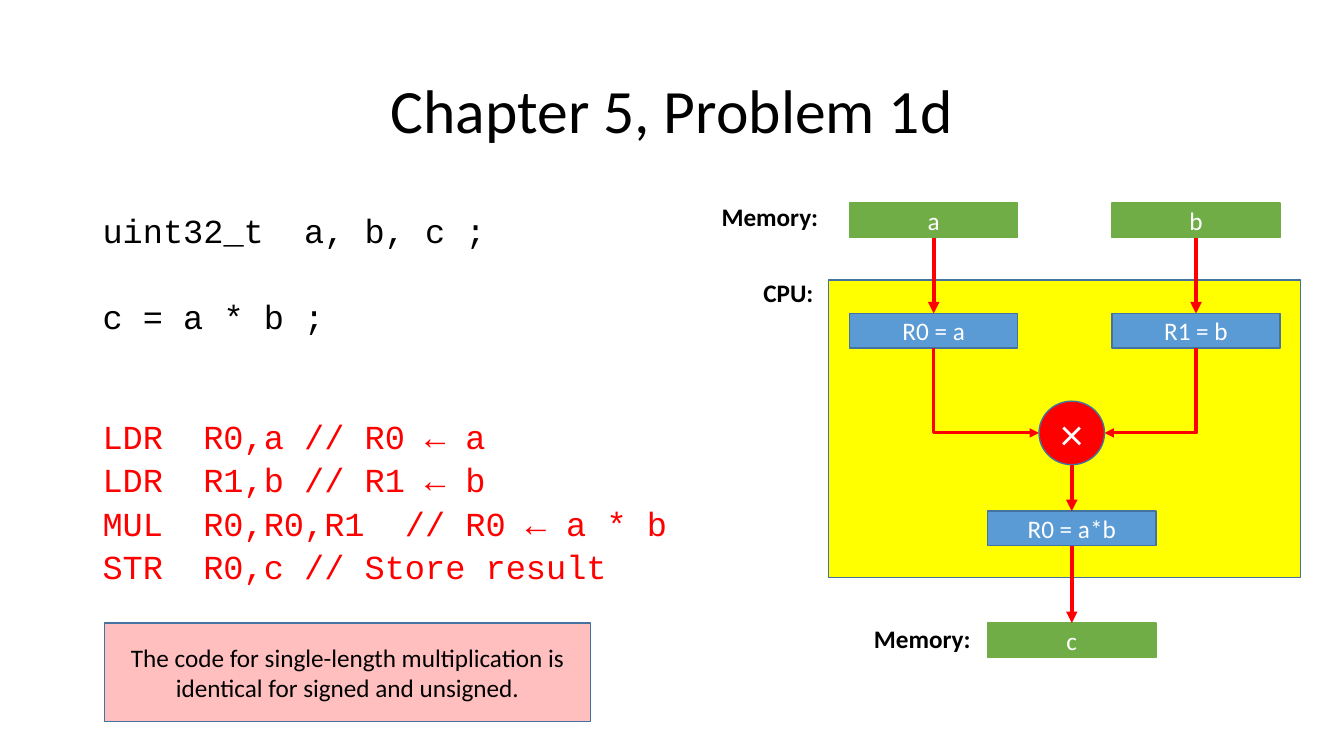
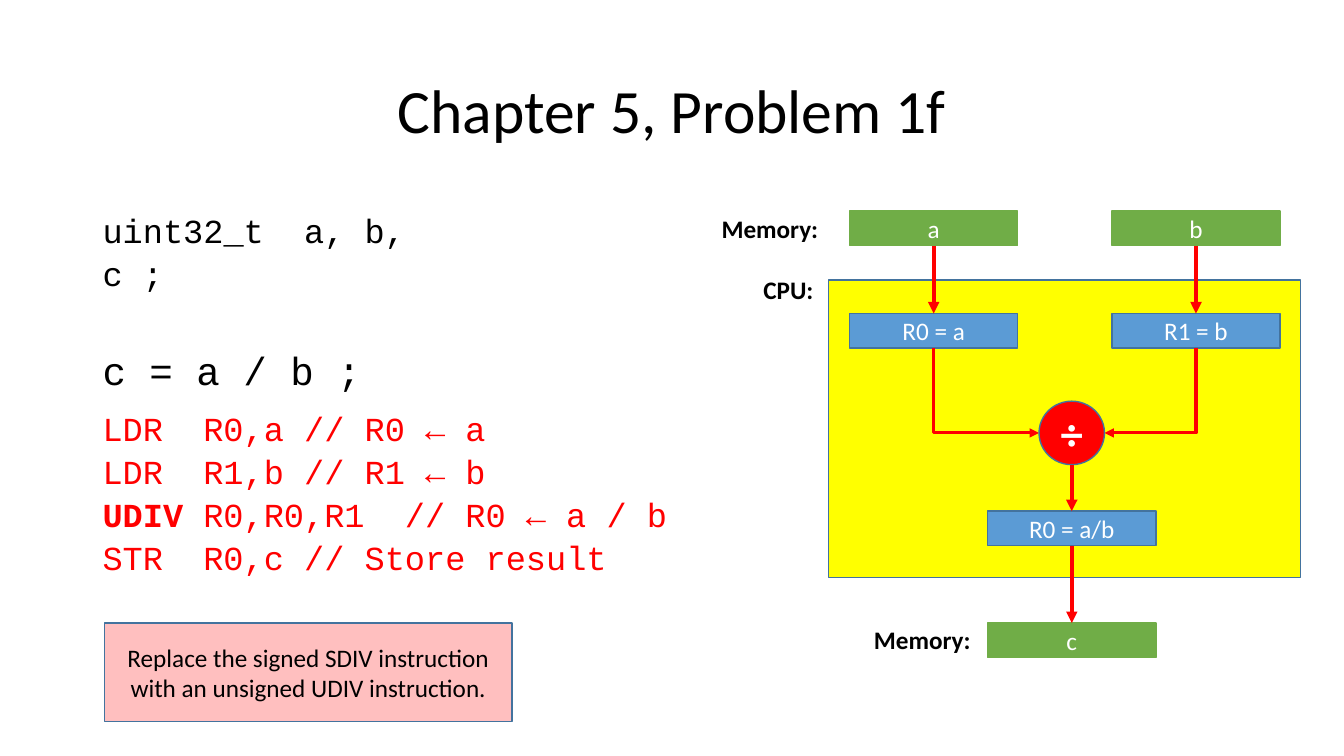
"""Build two slides on integer arithmetic: code, assembly and data flow."""
from dataclasses import dataclass

from lxml import etree
from pptx import Presentation
from pptx import util as u
from pptx.dml.color import RGBColor
from pptx.enum import shapes, text
from pptx.oxml.ns import qn

BLACK = RGBColor(0x00, 0x00, 0x00)
WHITE = RGBColor(0xFF, 0xFF, 0xFF)
RED = RGBColor(0xFF, 0x00, 0x00)
YELLOW = RGBColor(0xFF, 0xFF, 0x00)
BLUE = RGBColor(0x5B, 0x9B, 0xD5)
GREEN = RGBColor(0x70, 0xAD, 0x47)
OUTLINE = RGBColor(0x43, 0x73, 0x9E)

RECTANGLE = shapes.MSO_SHAPE.RECTANGLE
OVAL = shapes.MSO_SHAPE.OVAL
CENTER, LEFT, RIGHT = text.PP_ALIGN.CENTER, text.PP_ALIGN.LEFT, text.PP_ALIGN.RIGHT

CELL_WIDTH, CELL_HEIGHT = 4.24, 0.87
LEFT_CELL, MIDDLE_CELL, RIGHT_CELL = 21.41, 24.89, 28.02
LOAD_TOP, RESULT_TOP, STORE_TOP = 7.9, 12.88, 15.7
CIRCLE_TOP, CIRCLE_WIDTH, CIRCLE_HEIGHT = 10.11, 1.65, 1.6
TAB_STOPS = (2.54, 5.08, 7.62)


def write(frame, lines, size=18, color=BLACK, font="Calibri", bold=False,
          align=CENTER, spacing=None):
    """Fill a text frame; a line is a string or a list of (text, bold) runs."""
    frame.word_wrap = True
    for number, line in enumerate(lines):
        paragraph = frame.add_paragraph() if number else frame.paragraphs[0]
        paragraph.alignment = align
        paragraph.space_before = u.Pt(0)
        if spacing:
            paragraph.line_spacing = spacing
        for words, heavy in [(line, bold)] if isinstance(line, str) else line:
            run = paragraph.add_run()
            run.text = words
            run.font.name = font
            run.font.size = u.Pt(size)
            run.font.bold = heavy
            run.font.color.rgb = color


class Deck:
    """Holds the presentation, its style and the current slide."""

    def __init__(self):
        """Start an empty widescreen presentation."""
        self.show = Presentation()
        self.show.slide_width, self.show.slide_height = u.Cm(33.87), u.Cm(19.05)
        self.slide = None

    def new_slide(self, heading):
        """Add a slide with its centred title."""
        self.slide = self.show.slides.add_slide(self.show.slide_layouts[3])
        frame = self.place(0, 2.33, 1.02, 29.21, 3.68)
        frame.vertical_anchor = text.MSO_ANCHOR.MIDDLE
        write(frame, [heading], size=44, spacing=0.9)

    def place(self, index, left, top, width, height):
        """Move a placeholder and return its text frame."""
        holder = self.slide.placeholders[index]
        holder.left, holder.top = u.Cm(left), u.Cm(top)
        holder.width, holder.height = u.Cm(width), u.Cm(height)
        holder.text_frame.auto_size = text.MSO_AUTO_SIZE.NONE
        return holder.text_frame

    def code(self, index, box, lines, color=BLACK):
        """Write a listing without bullets, with tab stops, and return its paragraphs."""
        frame = self.place(index, *box)
        frame.vertical_anchor = text.MSO_ANCHOR.TOP
        write(frame, lines, size=24, color=color, font="Courier New",
              align=LEFT, spacing=1.07)
        for paragraph in frame.paragraphs:
            properties = paragraph._p.get_or_add_pPr()
            properties.set("marL", "0")
            properties.set("indent", "0")
            etree.SubElement(properties, qn("a:buNone"))
            stops = etree.SubElement(properties, qn("a:tabLst"))
            for stop in TAB_STOPS:
                etree.SubElement(stops, qn("a:tab"), pos=str(u.Cm(stop)), algn="l")
        return frame.paragraphs

    def block(self, box, fill, words="", kind=RECTANGLE, line=OUTLINE, alpha=None, **style):
        """Add a filled and outlined shape, with text where given."""
        shape = self.slide.shapes.add_shape(kind, *map(u.Cm, box))
        shape.shadow.inherit = False
        shape.fill.solid()
        shape.fill.fore_color.rgb = fill
        shape.line.color.rgb = line
        shape.line.width = u.Pt(1)
        if alpha:
            tint = shape._element.spPr.find(qn("a:solidFill")).find(qn("a:srgbClr"))
            etree.SubElement(tint, qn("a:alpha"), val=str(alpha * 1000))
        if words:
            write(shape.text_frame, [words], **style)
        return shape

    def register(self, left, top, words):
        """Add a CPU register."""
        self.block((left, top, CELL_WIDTH, CELL_HEIGHT), BLUE, words, color=WHITE)

    def variable(self, left, top, words):
        """Add a variable in memory."""
        self.block((left, top, CELL_WIDTH, CELL_HEIGHT), GREEN, words, line=GREEN, color=WHITE)

    def operator(self, sign, bold):
        """Add the round operator above the result."""
        left = MIDDLE_CELL + (CELL_WIDTH - CIRCLE_WIDTH) / 2
        circle = self.block((left, CIRCLE_TOP, CIRCLE_WIDTH, CIRCLE_HEIGHT), RED, sign,
                            kind=OVAL, size=32, color=WHITE, bold=bold)
        frame = circle.text_frame
        frame.margin_left = frame.margin_right = frame.margin_top = frame.margin_bottom = 0

    def label(self, left, top, words):
        """Add a bold, right-aligned label."""
        box = self.slide.shapes.add_textbox(*map(u.Cm, (left, top, 3.45, 1.02)))
        write(box.text_frame, [words], bold=True, align=RIGHT)

    def arrow(self, start, end, weight=2.75):
        """Add a red straight arrow and return it."""
        arrow = self.slide.shapes.add_connector(
            shapes.MSO_CONNECTOR.STRAIGHT, *map(u.Cm, start + end))
        arrow.line.color.rgb = RED
        arrow.line.width = u.Pt(weight)
        etree.SubElement(arrow.line._get_or_add_ln(), qn("a:tailEnd"), type="triangle")
        etree.SubElement(arrow._element.spPr, qn("a:effectLst"))
        return arrow

    def bent_arrow(self, start, end):
        """Add an arrow that runs down, then turns sideways to its end."""
        across, down = end[0] - start[0], end[1] - start[1]
        middle_x, middle_y = (start[0] + end[0]) / 2, (start[1] + end[1]) / 2
        side = 1 if across > 0 else -1
        half_width, half_height = side * down / 2, abs(across) / 2
        arrow = self.arrow((middle_x + half_width, middle_y - half_height),
                           (middle_x - half_width, middle_y + half_height), 2.25)
        properties = arrow._element.spPr
        properties.find(qn("a:prstGeom")).set("prst", "bentConnector2")
        properties.find(qn("a:xfrm")).set("rot", str((180 + side * 90) * 60000))


@dataclass
class Problem:
    """What differs from one problem to the next."""
    number: str
    statement: str
    statement_size: int
    gap: int
    code_width: float
    assembly_top: float
    operation: list
    sign: str
    sign_bold: bool
    result: str
    memory_top: float
    label_tops: tuple
    note: str
    note_width: float


def draw_flow(deck, problem):
    """Draw the path from memory through the CPU and back."""
    deck.block((20.88, 7.06, 11.89, 7.49), YELLOW)
    center = MIDDLE_CELL + CELL_WIDTH / 2
    circle_middle = CIRCLE_TOP + CIRCLE_HEIGHT / 2
    for left, name, load, side in ((LEFT_CELL, "a", "R0 = a", -1),
                                   (RIGHT_CELL, "b", "R1 = b", 1)):
        middle = left + CELL_WIDTH / 2
        deck.variable(left, problem.memory_top, name)
        deck.register(left, LOAD_TOP, load)
        deck.arrow((middle, problem.memory_top + CELL_HEIGHT), (middle, LOAD_TOP))
        deck.bent_arrow((middle, LOAD_TOP + CELL_HEIGHT),
                        (center + side * CIRCLE_WIDTH / 2, circle_middle))
    deck.operator(problem.sign, problem.sign_bold)
    deck.register(MIDDLE_CELL, RESULT_TOP, problem.result)
    deck.variable(MIDDLE_CELL, STORE_TOP, "c")
    deck.arrow((center, CIRCLE_TOP + CIRCLE_HEIGHT), (center, RESULT_TOP))
    deck.arrow((center, RESULT_TOP + CELL_HEIGHT), (center, STORE_TOP))
    for left, top, words in zip((17.42, 17.3, 21.26), problem.label_tops,
                                ("Memory:", "CPU:", "Memory:")):
        deck.label(left, top, words)


def draw_problem(deck, problem):
    """Build the slide of one problem."""
    deck.new_slide(f"Chapter 5, Problem {problem.number}")
    statement = deck.code(1, (2.33, 5.08, problem.code_width, 4.3),
                          ["uint32_t  a, b, c ;", problem.statement])[1]
    statement.space_before = u.Pt(problem.gap)
    statement.runs[0].font.size = u.Pt(problem.statement_size)
    deck.code(2, (2.33, problem.assembly_top, 19.1, 4.83),
              ["LDR\tR0,a\t// R0 ← a", "LDR\tR1,b\t// R1 ← b",
               problem.operation, "STR\tR0,c\t// Store result"], color=RED)
    draw_flow(deck, problem)
    deck.block((2.64, 15.7, problem.note_width, 2.49), RED, problem.note, alpha=25)


PROBLEMS = (
    Problem(number="1d", statement="c = a * b ;", statement_size=24, gap=31,
            code_width=10.24, assembly_top=10.29,
            operation=[("MUL", False), ("\tR0,R0,R1\t// R0 ← a * b", False)],
            sign="×", sign_bold=False, result="R0 = a*b",
            memory_top=5.12, label_tops=(4.95, 6.86, 15.57),
            note="The code for single-length multiplication is identical "
                 "for signed and unsigned.", note_width=12.24),
    Problem(number="1f", statement="c = a / b ;", statement_size=28, gap=36,
            code_width=10.13, assembly_top=10.08,
            operation=[("UDIV", True), ("\tR0,R0,R1\t// R0 ← a / b", False)],
            sign="÷", sign_bold=True, result="R0 = a/b",
            memory_top=5.32, label_tops=(5.26, 6.78, 15.6),
            note="Replace the signed SDIV instruction with an unsigned "
                 "UDIV instruction.", note_width=10.26),
)

deck = Deck()
for problem in PROBLEMS:
    draw_problem(deck, problem)
deck.show.save("out.pptx")
